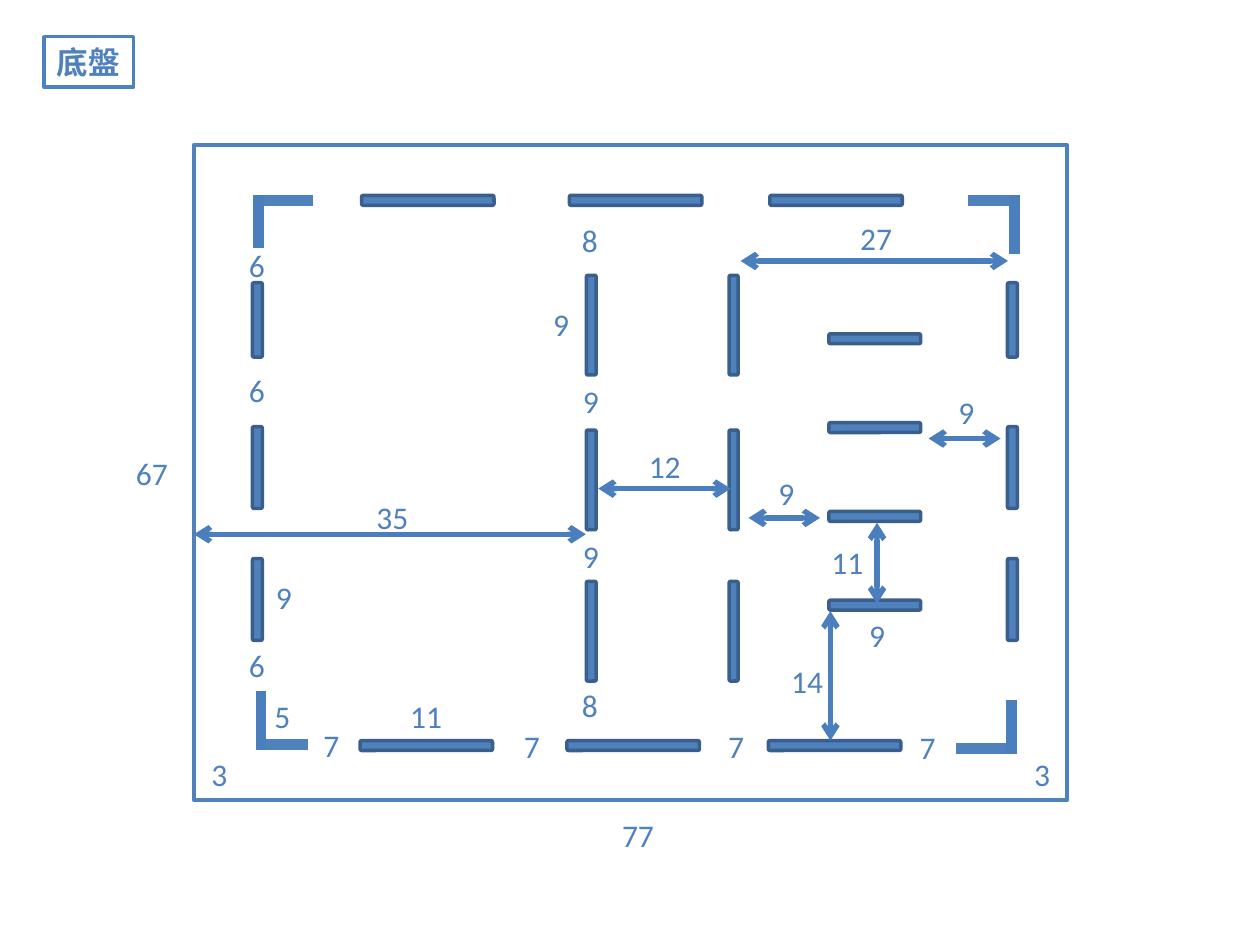
import pptx
import pptx.util
import pptx.dml.color
import pptx.enum.shapes
import pptx.enum.text
import pptx.oxml
import pptx.oxml.ns

Cm = pptx.util.Cm
Pt = pptx.util.Pt
KIND = pptx.enum.shapes.MSO_SHAPE
TEXT = pptx.enum.text
HUE = {"blue": "4F81BD", "arm": "4B7EBC", "edge": "3A5F8C", "white": "FFFFFF"}
FRAME = {"word_wrap": False, "auto_size": TEXT.MSO_AUTO_SIZE.NONE,
         "vertical_anchor": TEXT.MSO_ANCHOR.TOP,
         "margin_left": Cm(0.25), "margin_right": Cm(0.25),
         "margin_top": Cm(0.13), "margin_bottom": Cm(0.13)}
DIGIT = {"name": "Calibri", "size": Pt(18), "bold": False}
HEAD = {"name": "Noto Sans CJK SC", "size": Pt(18), "bold": True}


def tint(key):
    return pptx.dml.color.RGBColor.from_string(HUE[key])


def apply(item, form):
    for key, value in form.items():
        setattr(item, key, value)


def paint(shape, fill, edge, width):
    shape.fill.solid()
    shape.fill.fore_color.rgb = tint(fill)
    shape.line.color.rgb = tint(edge)
    shape.line.width = Pt(width)


def write(shape, text, form):
    frame = shape.text_frame
    apply(frame, FRAME)
    para = frame.paragraphs[0]
    para.alignment = TEXT.PP_ALIGN.LEFT
    run = para.add_run()
    run.text = text
    apply(run.font, form)
    run.font.color.rgb = tint("blue")
    return run


def block(slide, box, kind, rect, fill, edge, width):
    x, y, w, h = rect
    shape = slide.shapes.add_shape(kind, Cm(box[0] + x), Cm(box[1] + y), Cm(w), Cm(h))
    shape.shadow.inherit = False
    paint(shape, fill, edge, width)


def bar(slide, box, x, y, w, h):
    block(slide, box, KIND.ROUNDED_RECTANGLE, (x, y, w, h), "blue", "edge", 2)


def stroke(slide, box, start, end, key, width, heads=False):
    left, top = box[:2]
    line = slide.shapes.add_connector(
        pptx.enum.shapes.MSO_CONNECTOR.STRAIGHT,
        Cm(left + start[0]), Cm(top + start[1]), Cm(left + end[0]), Cm(top + end[1]))
    line.line.color.rgb = tint(key)
    line.line.width = Pt(width)
    if heads:
        pen = line.line._get_or_add_ln()
        for tag in ("a:headEnd", "a:tailEnd"):
            tip = pptx.oxml.ns.qn(tag)
            pen.append(pen.makeelement(tip, {"type": "arrow"}))
    props = line._element.spPr
    props.append(props.makeelement(pptx.oxml.ns.qn("a:effectLst"), {}))


def title(slide, box, text):
    head = slide.shapes.title
    apply(head, dict(zip(("left", "top", "width", "height"), map(Cm, box))))
    paint(head, "white", "blue", 2)
    props = write(head, text, HEAD)._r.get_or_add_rPr()
    face = props.makeelement(pptx.oxml.ns.qn("a:ea"), {"typeface": HEAD["name"]})
    props.find(pptx.oxml.ns.qn("a:latin")).addnext(face)


def walls(slide, box):
    for y, row in ((12.01, (3.35, 7.52, 11.58)), (1.02, (3.38, 7.57, 11.61))):
        for x in row:
            bar(slide, box, x, y, 2.67, 0.2)
    side = ((2.78, 1.5), (5.68, 1.65), (8.34, 1.65))
    inner = ((2.63, 2.01), (5.75, 2.01), (8.8, 2.01))
    for mid, wide, col in ((1.28, 0.2, side), (16.5, 0.2, side),
                           (8.01, 0.2, inner), (10.88, 0.18, inner)):
        for y, h in col:
            bar(slide, box, mid - wide / 2, y, wide, h)
    for step in range(4):
        bar(slide, box, 12.8, 3.81 + 1.79 * step, 1.85, 0.2)


def corners(slide, box):
    for x, y, dx, dy in ((1.3, 1.12, 1.09, 0.96), (16.48, 12.17, -1.11, -0.97),
                         (16.54, 1.12, -0.94, 1.09), (1.35, 12.09, 0.94, -1.09)):
        back = -0.1 if dx > 0 else 0.1
        stroke(slide, box, (x + back, y), (x + dx, y), "blue", 6)
        rise = -0.1 if dy > 0 else 0.1
        stroke(slide, box, (x, y + rise), (x, y + dy), "arm", 6)


def spans(slide, box):
    for start, end in (((0, 7.85), (7.9, 7.85)), ((8.15, 6.93), (10.82, 6.93)),
                       ((11.02, 2.34), (16.41, 2.34)), ((14.81, 5.92), (16.26, 5.92)),
                       ((11.18, 7.52), (12.62, 7.52)), ((12.83, 9.4), (12.83, 12.01)),
                       ((13.77, 7.62), (13.77, 9.25))):
        stroke(slide, box, start, end, "arm", 3, True)


def labels(slide, box):
    sizes = {
        "77": [(8.38, 13.41)], "67": [(-1.42, 6.1)], "35": [(3.43, 6.99)],
        "27": [(13.18, 1.37)], "14": [(11.79, 10.29)], "12": [(8.92, 5.97)],
        "11": [(4.11, 11), (12.6, 7.9)],
        "9": [(1.4, 8.61), (13.36, 9.37), (15.16, 4.88), (6.99, 3.1),
              (7.59, 4.65), (7.59, 7.77), (11.53, 6.5)],
        "8": [(7.57, 1.4), (7.57, 10.77)],
        "7": [(2.36, 11.58), (6.4, 11.61), (10.52, 11.61), (14.38, 11.63)],
        "6": [(0.86, 1.91), (0.86, 4.42), (0.86, 9.98)],
        "5": [(1.37, 11)], "3": [(0.1, 12.17), (16.69, 12.17)]}
    for text, spots in sizes.items():
        wide = 0.51 + 0.33 * len(text)
        for x, y in spots:
            note = slide.shapes.add_textbox(
                Cm(box[0] + x), Cm(box[1] + y), Cm(wide), Cm(1.02))
            write(note, text, DIGIT)


def plan(slide, box):
    block(slide, box, KIND.RECTANGLE, (0, 0, box[2], box[3]), "white", "blue", 2.25)
    for part in (walls, corners, spans, labels):
        part(slide, box)


deck = pptx.Presentation()
apply(deck, {"slide_width": Cm(25.4), "slide_height": Cm(19.05)})
page = deck.slides.add_slide(deck.slide_layouts[5])
title(page, (0.89, 0.74, 1.8, 1.02), "底盤")
plan(page, (3.91, 2.92, 17.6, 13.21))
deck.save("out.pptx")
